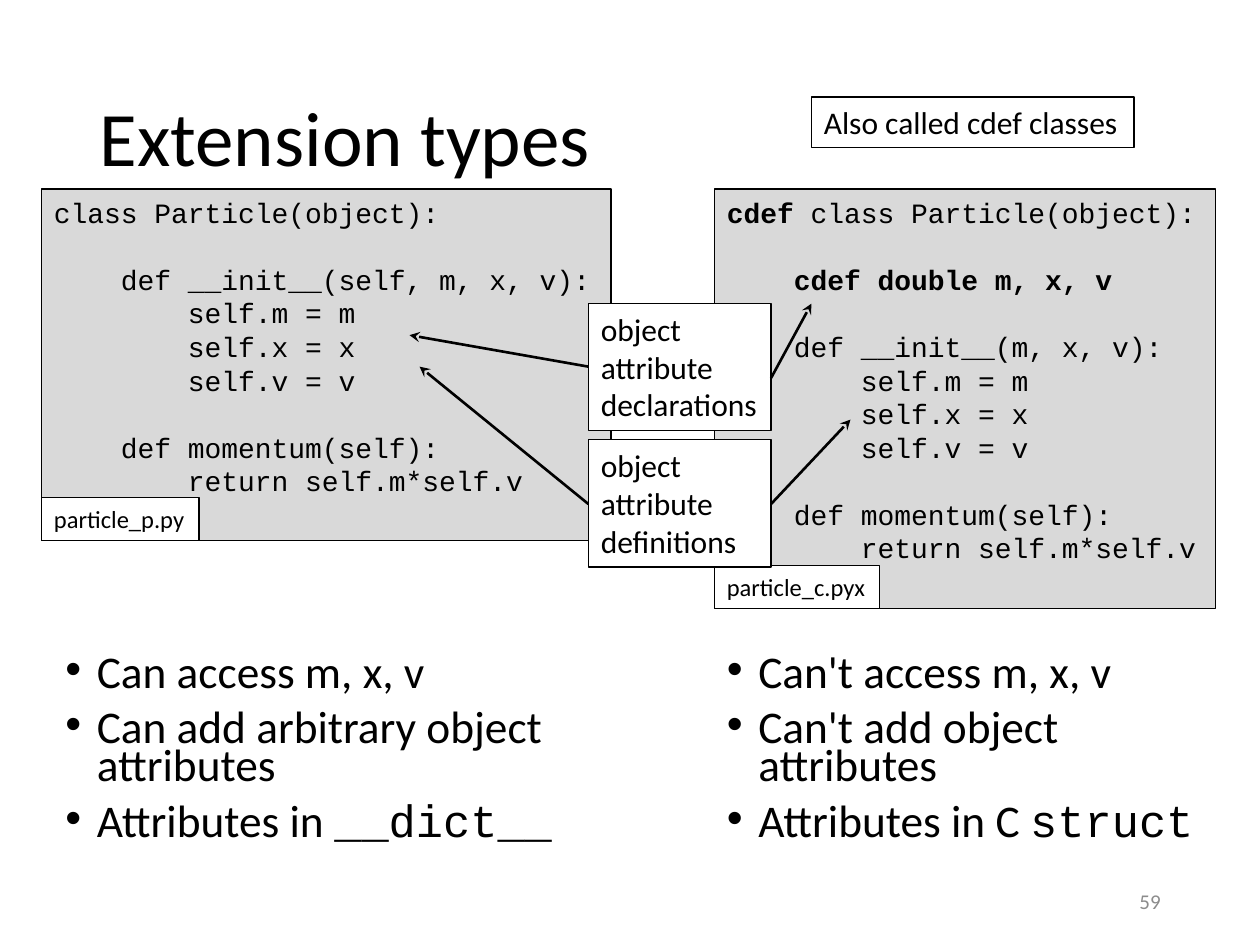
from lxml import etree
from pptx import Presentation
from pptx.dml.color import RGBColor
from pptx.enum.shapes import MSO_CONNECTOR, MSO_SHAPE
from pptx.enum.text import MSO_ANCHOR, PP_ALIGN
from pptx.oxml.ns import qn
from pptx.util import Inches, Pt

RECTANGLE = MSO_SHAPE.RECTANGLE
STRAIGHT = MSO_CONNECTOR.STRAIGHT
LEFT, RIGHT = PP_ALIGN.LEFT, PP_ALIGN.RIGHT
TOP, MIDDLE = MSO_ANCHOR.TOP, MSO_ANCHOR.MIDDLE

BODY_FONT, CODE_FONT = "Calibri", "Courier New"
BLACK, WHITE, PANEL, MUTED = "000000", "FFFFFF", "D9D9D9", "8C8C8C"

PYTHON_CODE = """class Particle(object):

    def __init__(self, m, x, v):
        self.m = m
        self.x = x
        self.v = v

    def momentum(self):
        return self.m*self.v""".split("\n")

CYTHON_CODE = [
    [("cdef", {"bold": True}), (" class Particle(object):", {})],
    "",
    [("    ", {}), ("cdef double m, x, v", {"bold": True})],
    "",
    "    def __init__(m, x, v):",
    *PYTHON_CODE[3:],
]


def color(value):
    return RGBColor.from_string(value)


class SlideBuilder:
    def __init__(self, deck):
        self.page = deck.slides.add_slide(deck.slide_layouts[5])

    def place(self, box, left, top, width, height):
        box.left, box.top = Inches(left), Inches(top)
        box.width, box.height = Inches(width), Inches(height)

    def set_lines(self, frame, lines, size, font=BODY_FONT, ink=BLACK,
                  align=LEFT, anchor=TOP, wrap=True, spacing=None,
                  bullets=False):
        frame.word_wrap = wrap
        frame.vertical_anchor = anchor
        for index, line in enumerate(lines):
            para = frame.paragraphs[0] if index == 0 else frame.add_paragraph()
            if bullets:
                self.bullet(para)
                para.space_before = Pt(10 if index else 0)
            para.alignment = align
            para.line_spacing = spacing
            para.font.name = font
            para.font.size = Pt(size)
            para.font.color.rgb = color(ink)
            if isinstance(line, str):
                para.text = line
                continue
            for text, style in line:
                span = para.add_run()
                span.text = text
                for name, value in style.items():
                    setattr(span.font, name, value)

    def bullet(self, para):
        properties = para._p.get_or_add_pPr()
        properties.set("marL", str(Inches(0.25)))
        properties.set("indent", str(Inches(-0.25)))
        etree.SubElement(properties, qn("a:buFont"), typeface="Arial")
        etree.SubElement(properties, qn("a:buChar"), char="•")

    def title(self, text, *area):
        box = self.page.shapes.title
        self.place(box, *area)
        self.set_lines(box.text_frame, [text], 44, anchor=MIDDLE, spacing=0.9)

    def text(self, lines, area, size, **style):
        box = self.page.shapes.add_textbox(*map(Inches, area))
        self.set_lines(box.text_frame, lines, size, **style)

    def panel(self, lines, area, size, fill=WHITE, font=BODY_FONT):
        box = self.page.shapes.add_shape(RECTANGLE, *map(Inches, area))
        box.shadow.inherit = False
        if fill:
            box.fill.solid()
            box.fill.fore_color.rgb = color(fill)
        else:
            box.fill.background()
        box.line.color.rgb = color(BLACK)
        box.line.width = Pt(0.75)
        self.set_lines(box.text_frame, lines, size, font=font, wrap=False)

    def listing(self, code, file_name, area, tab_width):
        left, top, width, height = area
        tab_height = 0.34
        self.panel(code, area, 16, fill=PANEL, font=CODE_FONT)
        tab_top = top + height - tab_height
        self.panel([file_name], (left, tab_top, tab_width, tab_height), 14)

    def arrow(self, start, end):
        line = self.page.shapes.add_connector(
            STRAIGHT, *map(Inches, (*start, *end)))
        line.line.color.rgb = color(BLACK)
        line.line.width = Pt(1.5)
        etree.SubElement(line.line._get_or_add_ln(), qn("a:tailEnd"),
                         type="stealth")
        etree.SubElement(line._element.spPr, qn("a:effectLst"))

    def callout(self, text, top, left_start, left_end, right_start, right_end):
        left, width = 4.67, 1.45
        self.panel([text], (left, top, width, 1.01), 18)
        self.arrow((left + width, right_start), right_end)
        self.arrow((left, left_start), left_end)


def main():
    deck = Presentation()
    deck.slide_width, deck.slide_height = Inches(10), Inches(7.5)
    slide = SlideBuilder(deck)

    slide.title("Extension types", 0.69, 0.4, 8.62, 1.45)
    code_style = {"name": CODE_FONT}
    columns = [
        (0.42, 4.17, ["Can access m, x, v",
                      "Can add arbitrary object attributes",
                      [("Attributes in ", {}), ("__dict__", code_style)]]),
        (5.67, 4, ["Can't access m, x, v",
                   "Can't add object attributes",
                   [("Attributes in C ", {}), ("struct", code_style)]]),
    ]
    for left, width, points in columns:
        slide.text(points, (left, 5.17, width, 1.7), 25.9,
                   spacing=0.7, bullets=True)
    slide.text(["59"], (7.06, 6.95, 2.25, 0.4), 12,
               ink=MUTED, align=RIGHT, anchor=MIDDLE)

    slide.listing(PYTHON_CODE, "particle_p.py", (0.33, 1.5, 4.52, 2.79), 1.25)
    slide.listing(CYTHON_CODE, "particle_c.pyx", (5.67, 1.5, 3.98, 3.33), 1.31)
    slide.callout("object \nattribute\ndeclarations", 2.41,
                  2.91, (3.25, 2.66), 3, (6.44, 2.41))
    slide.callout("object \nattribute\ndefinitions", 3.49,
                  4, (3.33, 2.91), 4, (6.75, 3.33))
    slide.panel(["Also called cdef classes"], (6.44, 0.77, 2.56, 0.4), 18,
                fill=None)
    deck.save("out.pptx")


if __name__ == "__main__":
    main()
